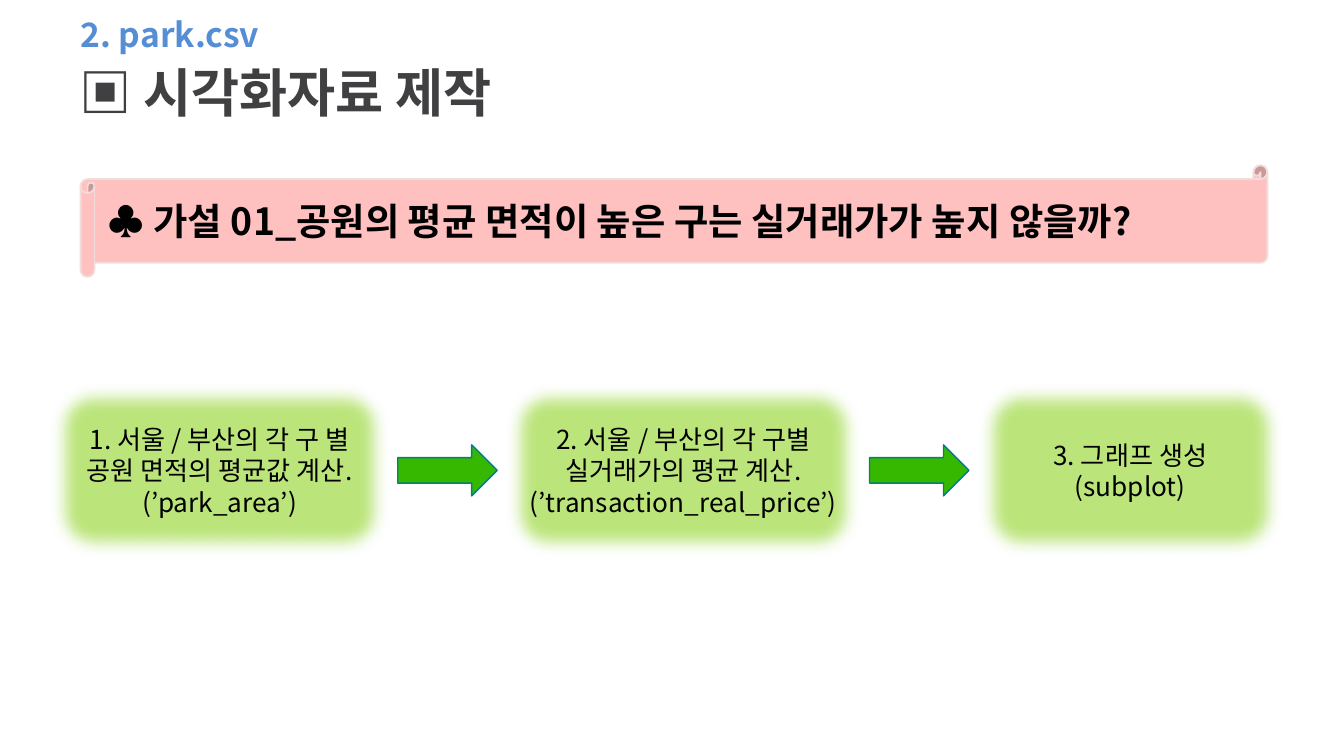
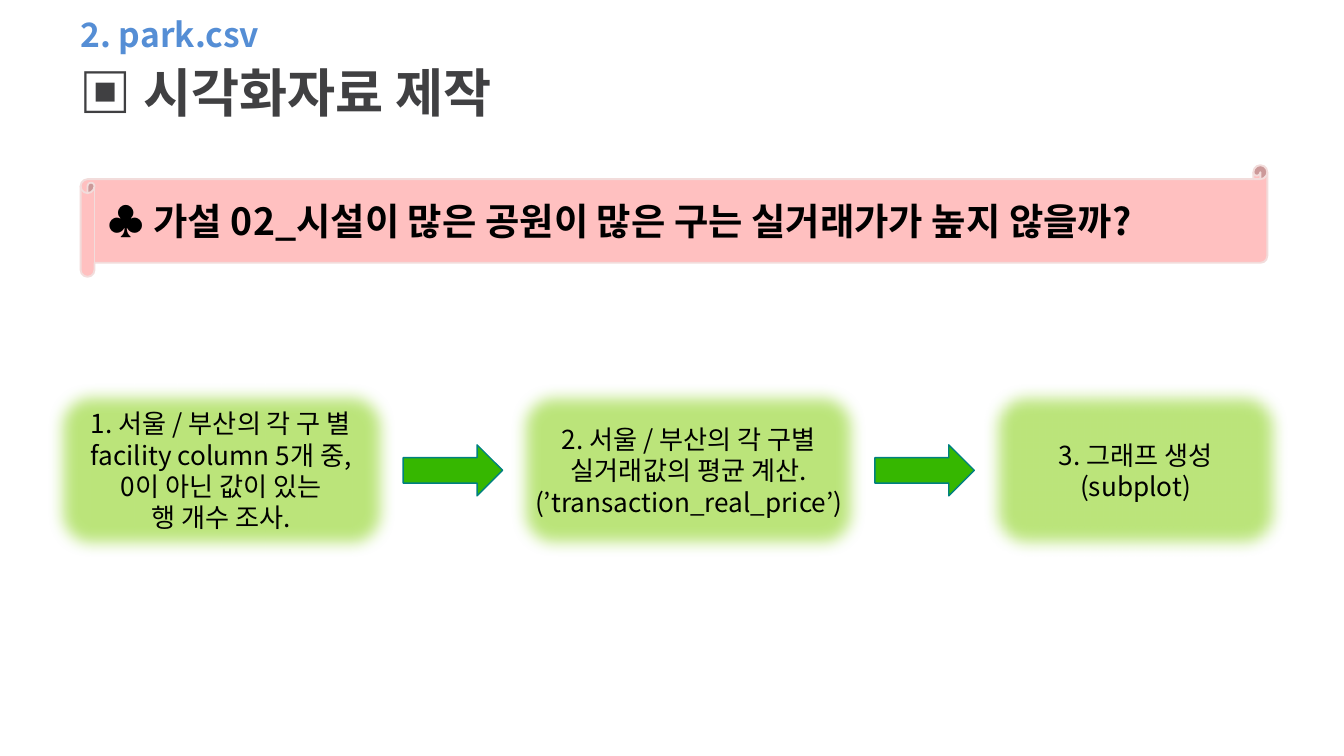
from typing import NamedTuple

from lxml import etree
from pptx import Presentation, util as u
from pptx.dml.color import RGBColor
from pptx.enum import shapes, text
from pptx.oxml import ns

FONT = "Noto Sans CJK KR"
BLUE, GRAY, BLACK = "558ED5", "404042", "000000"
PINK, ROSE = "FFC0C0", "F2DCDB"
LIME, GREEN, TEAL = "7DCD00", "36B700", "008080"
KIND = shapes.MSO_SHAPE

WIDE, HIGH = 10, 5.625
GAP = 0.06
ROW, TALL = 2.85, 1.3
ARROW_W, ARROW_H = 0.74, 0.38


class Box(NamedTuple):
    x: float
    y: float
    w: float
    h: float


class Style(NamedTuple):
    size: float
    color: str
    bold: bool = True
    align: int = text.PP_ALIGN.LEFT


class Step(NamedTuple):
    width: float
    words: str


class Page(NamedTuple):
    claim: str
    left: float
    steps: list[Step]


HEAD = Style(18, BLUE)
TOPIC = Style(28, GRAY)
CLAIM = Style(20, BLACK)
NOTE = Style(14, BLACK, False, text.PP_ALIGN.CENTER)

LAST = Step(2.28, "3. 그래프 생성\n(subplot)")
PAGES = [
    Page("♣ 가설 01_공원의 평균 면적이 높은 구는 실거래가가 높지 않을까?", 0.37, [
        Step(2.53, "1. 서울 / 부산의 각 구 별\n공원 면적의 평균값 계산.\n(’park_area’)"),
        Step(2.65, "2. 서울 / 부산의 각 구별\n실거래가의 평균 계산.\n(’transaction_real_price’)"),
        LAST]),
    Page("♣ 가설 02_시설이 많은 공원이 많은 구는 실거래가가 높지 않을까?", 0.35, [
        Step(2.59, "1. 서울 / 부산의 각 구 별\nfacility column 5개 중,\n0이 아닌 값이 있는\n행 개수 조사."),
        Step(2.65, "2. 서울 / 부산의 각 구별\n실거래값의 평균 계산.\n(’transaction_real_price’)"),
        LAST]),
]


def rgb(code: str) -> RGBColor:
    return RGBColor.from_string(code)


def place(box: Box) -> list[int]:
    return [u.Inches(v) for v in box]


def write(shape, words: str, style: Style) -> None:
    frame = shape.text_frame
    frame.text = words
    frame.word_wrap = True
    frame.auto_size = text.MSO_AUTO_SIZE.NONE
    frame.vertical_anchor = text.MSO_ANCHOR.MIDDLE
    for para in frame.paragraphs:
        para.alignment = style.align
        for font in [para.font, *(run.font for run in para.runs)]:
            font.name = FONT
            east = etree.SubElement(font._element, ns.qn("a:ea"))
            east.set("typeface", FONT)
        para.font.size = u.Pt(style.size)
        para.font.bold = style.bold
        para.font.color.rgb = rgb(style.color)


def draw(slide, kind: int, box: Box, fill: str, line: str = "", width: float = 1):
    shape = slide.shapes.add_shape(kind, *place(box))
    shape.shadow.inherit = False
    shape.fill.solid()
    shape.fill.fore_color.rgb = rgb(fill)
    if line:
        shape.line.color.rgb = rgb(line)
        shape.line.width = u.Pt(width)
    else:
        shape.line.fill.background()
    return shape


def soften(shape) -> None:
    """Make the fill half clear and blur the shape's edge."""
    props = shape._element.spPr
    color = props.find(".//" + ns.qn("a:srgbClr"))
    etree.SubElement(color, ns.qn("a:alpha")).set("val", "52000")
    edge = etree.SubElement(props.find(ns.qn("a:effectLst")), ns.qn("a:softEdge"))
    edge.set("rad", str(u.Inches(0.12)))


def flow(slide, page: Page) -> None:
    """Lay the steps in a row with an arrow between neighbours."""
    x = page.left
    for i, step in enumerate(page.steps):
        if i:
            arrow = Box(x, ROW + (TALL - ARROW_H) / 2, ARROW_W, ARROW_H)
            draw(slide, KIND.RIGHT_ARROW, arrow, GREEN, TEAL, 0.75)
            x += ARROW_W + GAP
        card = draw(slide, KIND.ROUNDED_RECTANGLE, Box(x, ROW, step.width, TALL), LIME)
        soften(card)
        write(card, step.words, NOTE)
        x += step.width + GAP


def build(deck, page: Page) -> None:
    slide = deck.slides.add_slide(deck.slide_layouts.get_by_name("Title Only"))
    title = slide.shapes.title
    title.left, title.top, title.width, title.height = place(Box(0.5, 0.08, 3.87, 0.35))
    write(title, "2. park.csv", HEAD)
    topic = slide.shapes.add_textbox(*place(Box(0.49, 0.26, 9, 0.85)))
    write(topic, "▣ 시각화자료 제작", TOPIC)
    scroll = draw(slide, KIND.HORIZONTAL_SCROLL, Box(0.6, 1.23, 8.83, 0.83), PINK, ROSE)
    write(scroll, page.claim, CLAIM)
    flow(slide, page)


def main() -> None:
    deck = Presentation()
    deck.slide_width, deck.slide_height = u.Inches(WIDE), u.Inches(HIGH)
    for page in PAGES:
        build(deck, page)
    deck.save("out.pptx")


if __name__ == "__main__":
    main()
